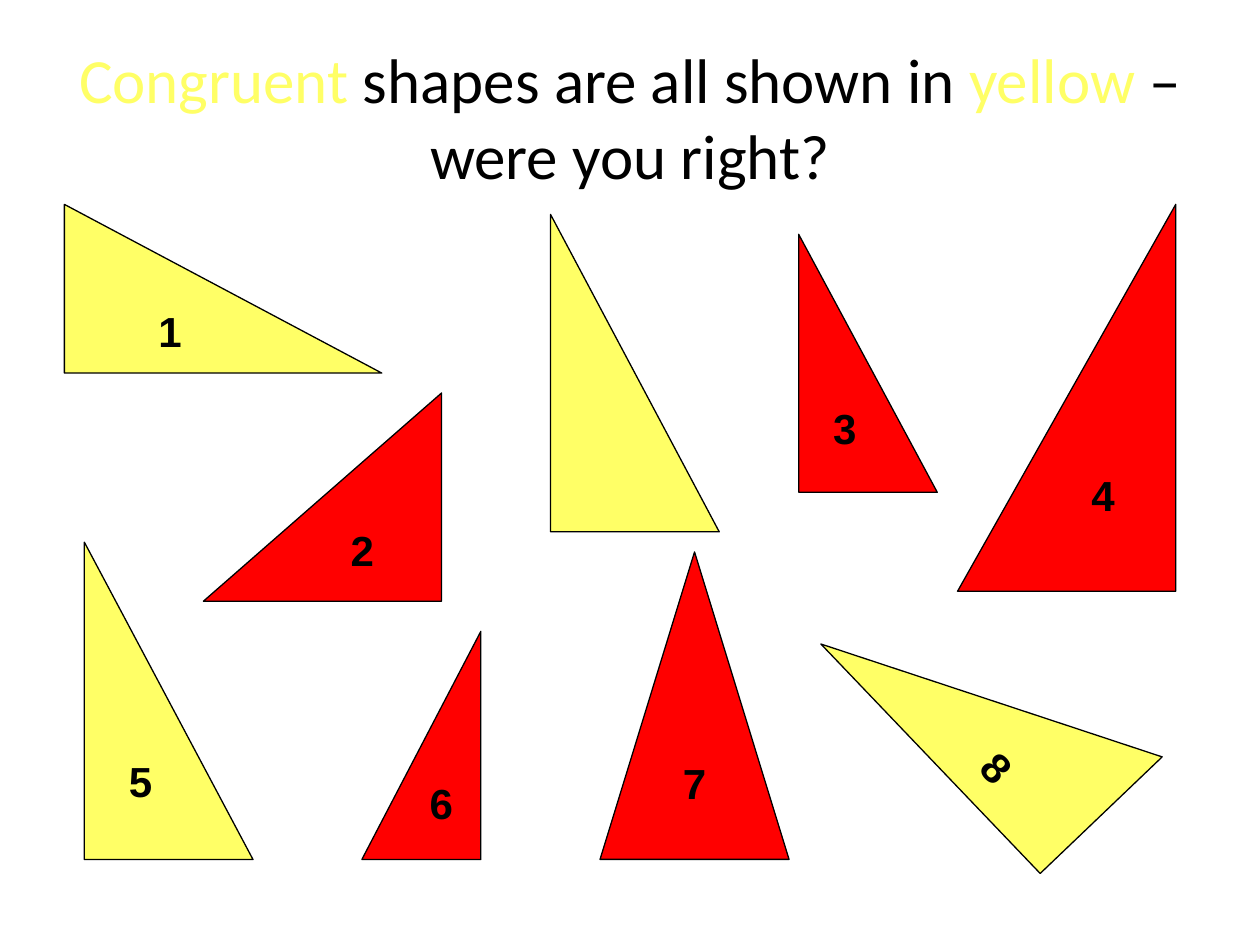
from pptx import Presentation
from pptx.dml.color import RGBColor
from pptx.enum.shapes import MSO_SHAPE
from pptx.enum.text import MSO_ANCHOR, PP_ALIGN
from pptx.util import Pt

YELLOW = RGBColor(0xFF, 0xFF, 0x66)
RED = RGBColor(0xFF, 0x00, 0x00)
BLACK = RGBColor(0x00, 0x00, 0x00)

TITLE = [
    ("Congruent", YELLOW),
    (" shapes are all shown in ", BLACK),
    ("yellow", YELLOW),
    (" – were you right?", BLACK),
]

RIGHT = MSO_SHAPE.RIGHT_TRIANGLE
ISOSCELES = MSO_SHAPE.ISOSCELES_TRIANGLE
SHORT, LONG = 96.4, 181.4  # legs of every congruent triangle

# label, preset, fill, left, top, width, height, flip attribute, rotation
TRIANGLES = [
    ("", RIGHT, YELLOW, 314.6, 122.5, SHORT, LONG, None, 0),
    ("5", RIGHT, YELLOW, 48.2, 309.8, SHORT, LONG, None, 0),
    ("4", RIGHT, RED, 547.2, 116.8, 124.7, 221.1, "flipH", 0),
    ("3", RIGHT, RED, 456.4, 133.9, 79.2, 147.4, None, 0),
    ("1", RIGHT, YELLOW, 36.8, 116.8, LONG, SHORT, None, 0),
    ("7", ISOSCELES, RED, 342.9, 315.4, 108, 175.7, None, 0),
    ("6", RIGHT, RED, 206.8, 360.8, 68, 130.4, "flipH", 0),
    ("8", RIGHT, YELLOW, 475.9, 352.1, LONG, SHORT, "flipV", 226.3),
    ("2", RIGHT, RED, 116.2, 224.6, 136.1, 119, "flipV", 180),
]


def add_title(slide):
    tf = slide.shapes.add_textbox(Pt(36), Pt(21.6), Pt(648), Pt(90)).text_frame
    tf.word_wrap = True
    tf.vertical_anchor = MSO_ANCHOR.MIDDLE
    p = tf.paragraphs[0]
    p.alignment = PP_ALIGN.CENTER
    p.font.name, p.font.size = "Calibri", Pt(36)
    for text, color in TITLE:
        r = p.add_run()
        r.text = text
        r.font.color.rgb = color


def add_triangle(slide, label, preset, fill, left, top, width, height, flip, rotation):
    s = slide.shapes.add_shape(preset, Pt(left), Pt(top), Pt(width), Pt(height))
    s.shadow.inherit = False
    s.rotation = rotation
    if flip:
        s._element.spPr.xfrm.set(flip, "1")
    s.fill.solid()
    s.fill.fore_color.rgb = fill
    s.line.color.rgb = BLACK
    s.line.width = Pt(0.75)
    if label:
        tf = s.text_frame
        tf.word_wrap = False
        tf.vertical_anchor = MSO_ANCHOR.MIDDLE
        p = tf.paragraphs[0]
        p.text = label
        p.alignment = PP_ALIGN.CENTER
        p.font.name, p.font.size, p.font.bold = "Arial", Pt(24), True
        p.font.color.rgb = BLACK


prs = Presentation()
prs.slide_width, prs.slide_height = Pt(720), Pt(540)
slide = prs.slides.add_slide(prs.slide_layouts[6])
add_title(slide)
for triangle in TRIANGLES:
    add_triangle(slide, *triangle)
prs.save("out.pptx")
